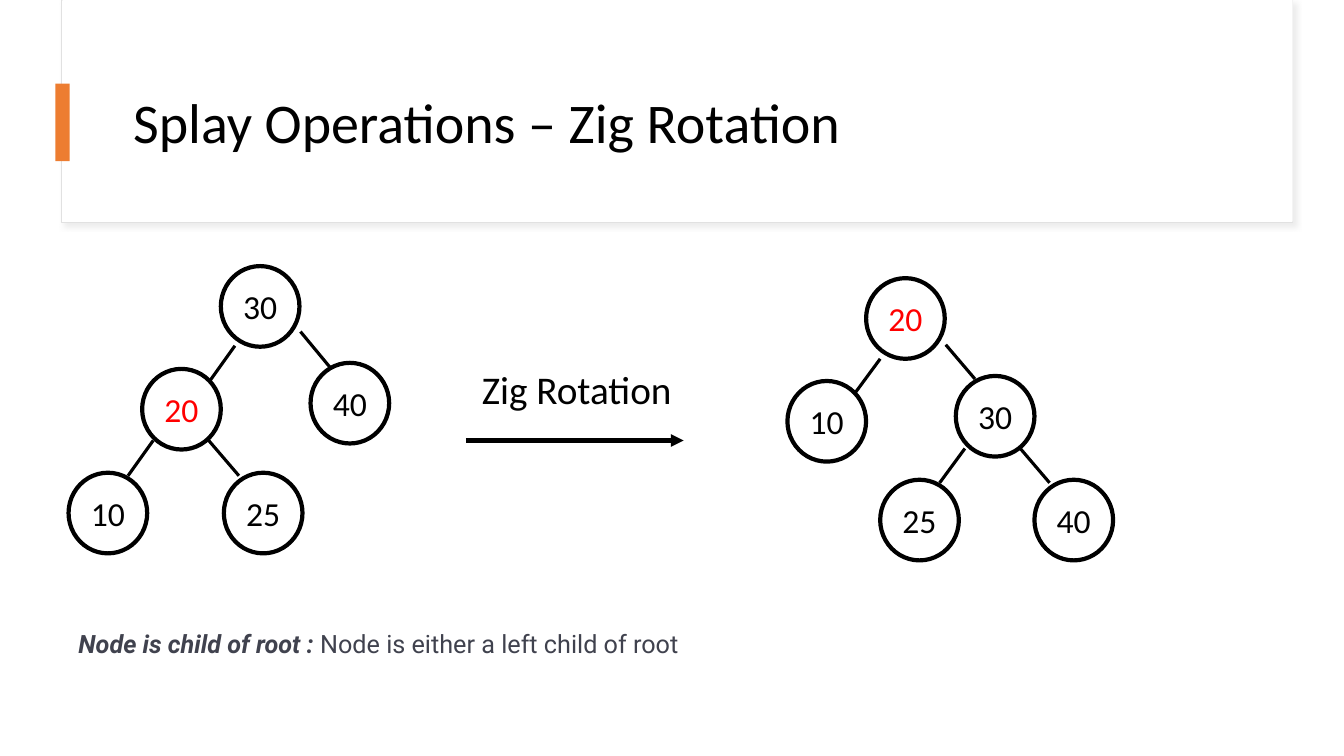
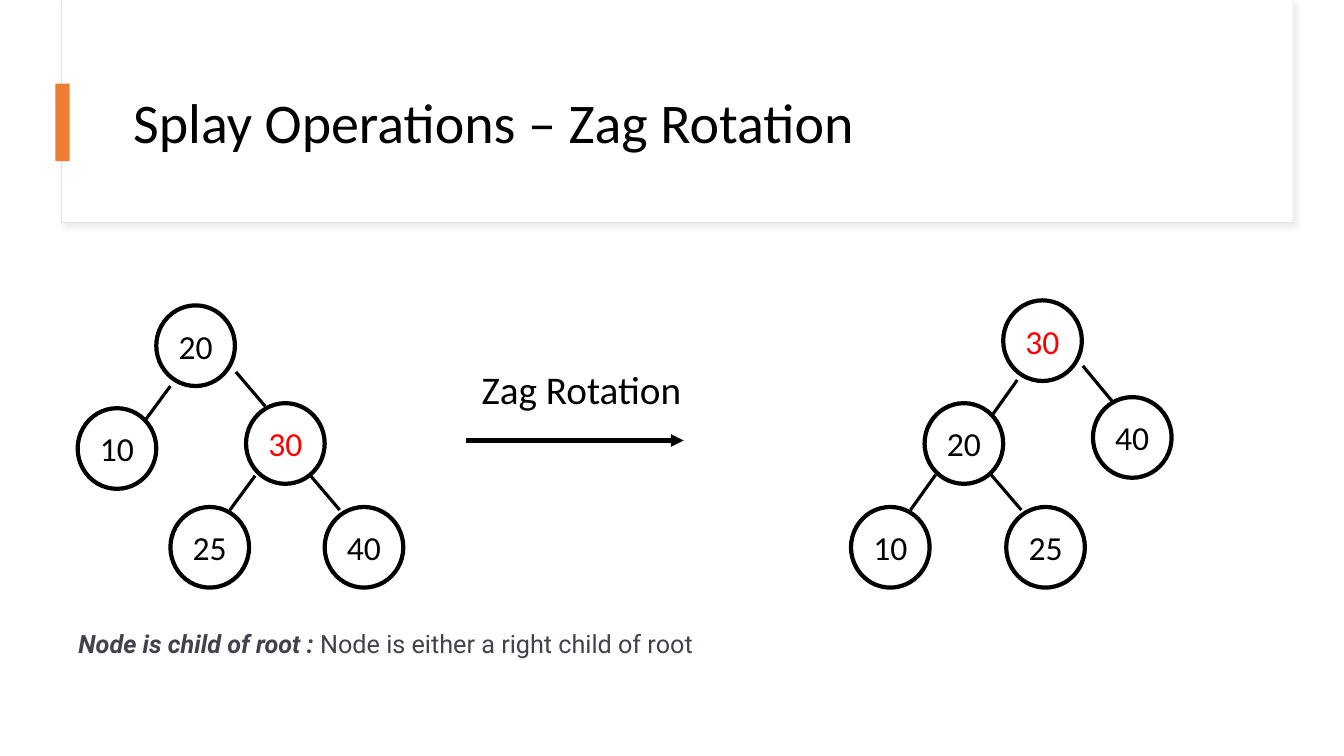
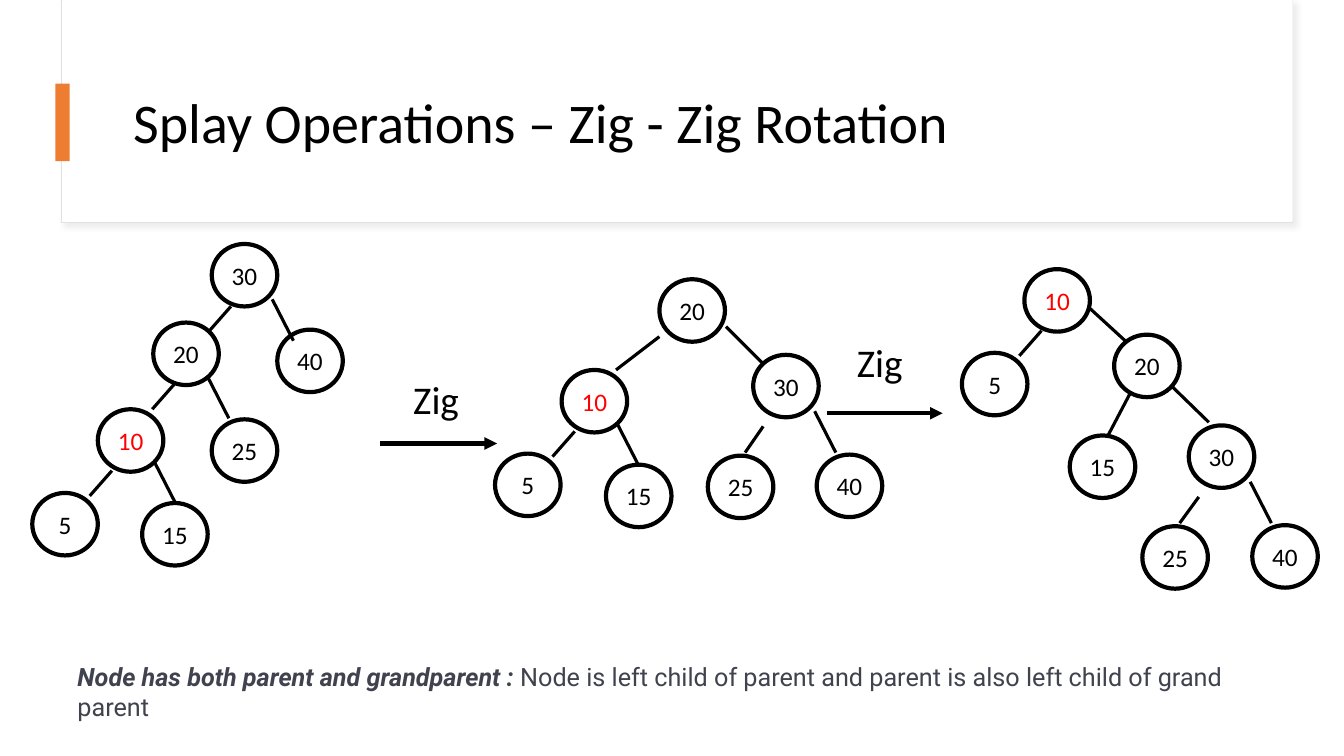
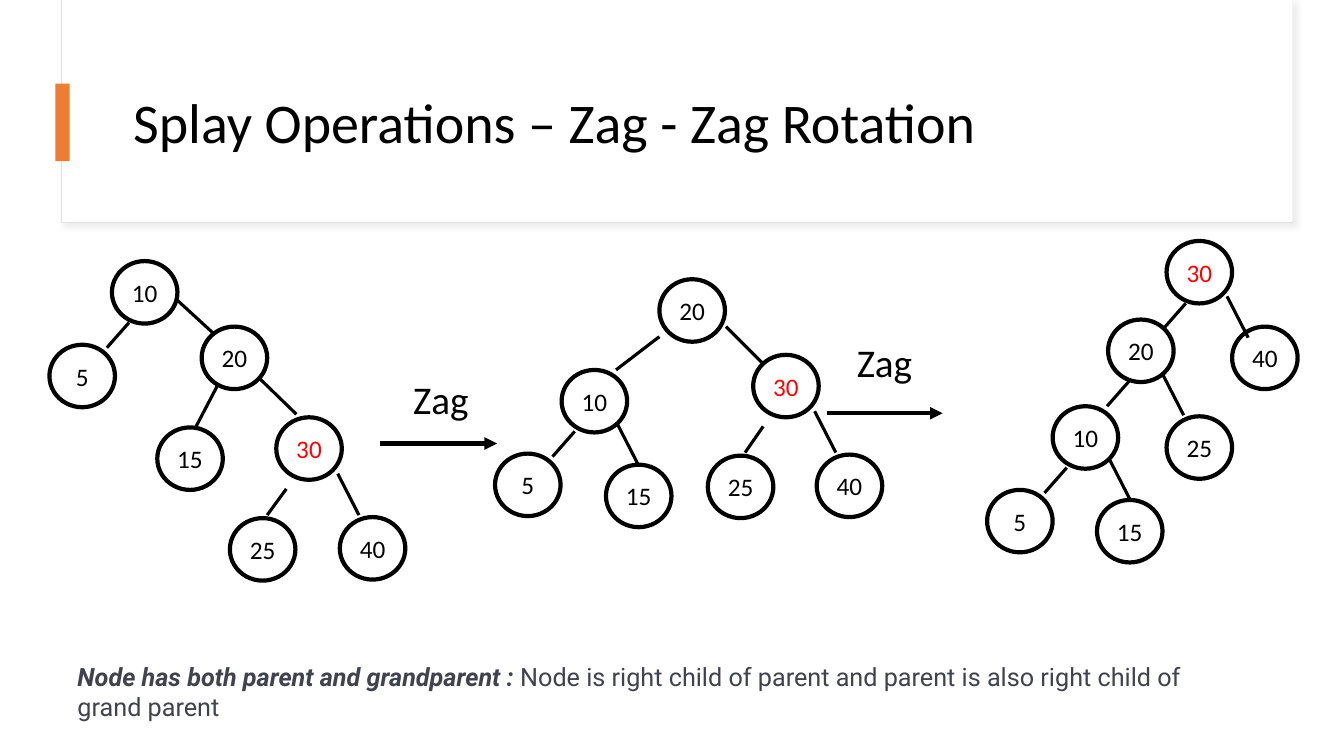
from dataclasses import dataclass

from lxml.etree import SubElement
from pptx import Presentation
from pptx.dml.color import RGBColor
from pptx.enum.shapes import MSO_CONNECTOR, MSO_SHAPE
from pptx.enum.text import MSO_ANCHOR, MSO_AUTO_SIZE, PP_ALIGN
from pptx.oxml.ns import qn
from pptx.util import Inches, Pt

BLACK, WHITE, RED = "000000", "FFFFFF", "FF0000"
ORANGE, FRAME_GRAY, SHADOW_GRAY, CAPTION_GRAY = "ED7D31", "E1E1E1", "D9D9D9", "40424E"
HEAD_FONT, CAPTION_FONT = "Calibri", "Roboto"
TITLE_ONLY = 5


@dataclass
class TreeShape:
    """Nodes are {key: (left, top)} and edges (x1, y1, x2, y2), from the root's corner."""
    node_size: tuple
    font_size: int
    nodes: dict
    edges: list


LARGE = dict(node_size=(0.78, 0.8), font_size=24)
SMALL = dict(node_size=(0.65, 0.62), font_size=18)

LARGE_LEFT = TreeShape(
    **LARGE,
    nodes={30: (0, 0), 20: (-0.78, 1.02), 40: (0.89, 0.96), 10: (-1.51, 2.05), 25: (0.03, 2.05)},
    edges=[(-0.11, 1.14, 0.14, 0.79), (-0.92, 2.08, -0.67, 1.73),
           (0.18, 2.08, -0.12, 1.73), (1.08, 1, 0.79, 0.65)])
LARGE_RIGHT = TreeShape(
    **LARGE,
    nodes={20: (0, 0), 10: (-0.78, 1.02), 30: (0.89, 0.97), 25: (0.14, 2), 40: (1.67, 2)},
    edges=[(-0.11, 1.14, 0.14, 0.8), (0.73, 2.03, 0.98, 1.69),
           (1.82, 2.03, 1.53, 1.69), (1.08, 1, 0.79, 0.66)])
SMALL_LEFT = TreeShape(
    **SMALL,
    nodes={30: (0, 0), 20: (-0.58, 0.78), 40: (0.65, 0.85), 10: (-1.13, 1.64),
           25: (0, 1.74), 5: (-1.78, 2.47), 15: (-0.69, 2.57)},
    edges=[(-0.03, 0.87, 0.19, 0.62), (-0.59, 1.64, -0.37, 1.39), (-1.21, 2.5, -0.99, 2.25),
           (-0.36, 2.57, -0.57, 2.16), (0.17, 1.73, -0.04, 1.32), (0.81, 0.96, 0.6, 0.55)])
SMALL_BALANCED = TreeShape(
    **SMALL,
    nodes={20: (0, 0), 10: (-0.97, 0.9), 30: (0.93, 0.75), 5: (-1.63, 1.73),
           15: (-0.53, 1.84), 25: (0.48, 1.75), 40: (1.56, 1.74)},
    edges=[(-0.43, 0.9, 0, 0.57), (1.03, 0.84, 0.66, 0.47), (-1.06, 1.76, -0.84, 1.51),
           (-0.21, 1.84, -0.42, 1.43), (0.85, 1.72, 1.03, 1.46), (1.75, 1.72, 1.54, 1.31)])
SMALL_RIGHT = TreeShape(
    **SMALL,
    nodes={10: (0, 0), 5: (-0.62, 0.83), 20: (0.89, 0.65), 15: (0.45, 1.65),
           30: (1.63, 1.55), 25: (1.17, 2.55), 40: (2.26, 2.54)},
    edges=[(-0.05, 0.86, 0.17, 0.61), (1.01, 0.72, 0.65, 0.39), (0.83, 1.65, 1.05, 1.23),
           (1.83, 1.52, 1.46, 1.16), (1.54, 2.52, 1.73, 2.26), (2.45, 2.52, 2.24, 2.11)])


def rgb(value):
    return RGBColor.from_string(value)


def style_run(run, size, color, font=HEAD_FONT, emphasis=False):
    run.font.name, run.font.size = font, Pt(size)
    run.font.color.rgb = rgb(color)
    run.font.bold = run.font.italic = emphasis


def add_block(page, kind, box, fill, line=None, line_width=0):
    block = page.shapes.add_shape(kind, *map(Inches, box))
    block.fill.solid()
    block.fill.fore_color.rgb = rgb(fill)
    if line:
        block.line.color.rgb = rgb(line)
        block.line.width = Pt(line_width)
    else:
        block.line.fill.background()
    block.shadow.inherit = False
    return block


def add_line(page, ends, width, arrow=False):
    line = page.shapes.add_connector(MSO_CONNECTOR.STRAIGHT, *map(Inches, ends))
    line.line.color.rgb = rgb(BLACK)
    line.line.width = Pt(width)
    properties = line.element.spPr
    if arrow:
        SubElement(properties.find(qn("a:ln")), qn("a:tailEnd"), type="triangle")
    SubElement(properties, qn("a:effectLst"))


def add_text(page, box, wrap):
    frame = page.shapes.add_textbox(*map(Inches, box)).text_frame
    frame.word_wrap = wrap
    frame.auto_size = MSO_AUTO_SIZE.SHAPE_TO_FIT_TEXT
    return frame.paragraphs[0]


def add_soft_shadow(shape):
    effects = shape.element.spPr.find(qn("a:effectLst"))
    shadow = SubElement(effects, qn("a:outerShdw"), blurRad=str(Pt(4)), dist=str(Pt(3)),
                        dir=str(45 * 60000), algn="tl", rotWithShape="0")
    color = SubElement(shadow, qn("a:srgbClr"), val=SHADOW_GRAY)
    SubElement(color, qn("a:alpha"), val="50000")


def add_header(page, text):
    title = page.shapes.title
    frame = add_block(page, MSO_SHAPE.RECTANGLE, (0.61, 0, 12.21, 2.21), WHITE, FRAME_GRAY, 0.75)
    add_soft_shadow(frame)
    panel = add_block(page, MSO_SHAPE.RECTANGLE, (0.62, 0, 12.2, 2.2), WHITE)
    for backing in (frame, panel):
        title.element.addprevious(backing.element)
    add_block(page, MSO_SHAPE.RECTANGLE, (0.55, 0.83, 0.14, 0.77), ORANGE)

    title.left, title.top, title.width, title.height = map(Inches, (1.22, 0.6, 11.12, 1.29))
    title.text_frame.text = text
    title.text_frame.auto_size = MSO_AUTO_SIZE.NONE
    title.text_frame.vertical_anchor = MSO_ANCHOR.MIDDLE
    para = title.text_frame.paragraphs[0]
    para.alignment, para.line_spacing = PP_ALIGN.LEFT, 0.9
    style_run(para.runs[0], 40, BLACK)


def add_tree(page, tree, left, top, splayed):
    """Draw a tree with its root's corner at (left, top) and the splayed key in red."""
    for key, (dx, dy) in tree.nodes.items():
        node = add_block(page, MSO_SHAPE.OVAL, (left + dx, top + dy, *tree.node_size),
                         WHITE, BLACK, 3)
        frame = node.text_frame
        frame.margin_left = frame.margin_right = 0
        frame.vertical_anchor = MSO_ANCHOR.MIDDLE
        frame.text = str(key)
        para = frame.paragraphs[0]
        para.alignment = PP_ALIGN.CENTER
        style_run(para.runs[0], tree.font_size, RED if key == splayed else BLACK)
    for x1, y1, x2, y2 in tree.edges:
        add_line(page, (left + x1, top + y1, left + x2, top + y2), 2.25)


def add_step(page, text, left, top, length, label_box):
    """Draw an arrow from (left, top); label_box is relative to that point."""
    add_line(page, (left, top, left + length, top), 3, arrow=True)
    dx, dy, width, height = label_box
    para = add_text(page, (left + dx, top + dy, width, height), wrap=False)
    para.text = text
    style_run(para.runs[0], 28, BLACK)


def add_caption(page, box, lead, rest):
    para = add_text(page, box, wrap=True)
    for text, emphasis in ((lead + " : ", True), (rest, False)):
        run = para.add_run()
        run.text = text
        style_run(run, 18, CAPTION_GRAY, CAPTION_FONT, emphasis)


def start_page(deck, name):
    page = deck.slides.add_slide(deck.slide_layouts[TITLE_ONLY])
    add_header(page, f"Splay Operations – {name} Rotation")
    return page


def add_single_page(deck, name, side, splayed, trees, label_width):
    page = start_page(deck, name)
    for tree in trees:
        add_tree(page, *tree, splayed)
    add_step(page, f"{name} Rotation", 4.62, 4.37, 2.16, (0.06, -0.79, label_width, 0.57))
    add_caption(page, (0.68, 6.18, 6.67, 0.4), "Node is child of root",
                f"Node is either a {side} child of root")


def add_double_page(deck, name, side, splayed, trees, label_width):
    page = start_page(deck, f"{name} - {name}")
    for tree in trees:
        add_tree(page, *tree, splayed)
    add_step(page, name, 3.77, 4.4, 1.16, (0.23, -0.73, label_width, 0.57))
    add_step(page, name, 8.2, 4.1, 1.15, (0.2, -0.79, label_width, 0.57))
    add_caption(page, (0.67, 6.51, 11.67, 0.71), "Node has both parent and grandparent",
                f"Node is {side} child of parent and parent is also {side} child of grand parent")


def main():
    deck = Presentation()
    deck.slide_width, deck.slide_height = Inches(13.33), Inches(7.5)
    balanced = (SMALL_BALANCED, 6.54, 2.77)
    add_single_page(deck, "Zig", "left", 20,
                    [(LARGE_LEFT, 2.19, 2.64), (LARGE_RIGHT, 8.59, 2.76)], 2.11)
    add_single_page(deck, "Zag", "right", 30,
                    [(LARGE_RIGHT, 1.55, 3.03), (LARGE_LEFT, 9.95, 2.98)], 2.2)
    add_double_page(deck, "Zig", "left", 10,
                    [(SMALL_LEFT, 2.1, 2.42), balanced, (SMALL_RIGHT, 10.16, 2.67)], 0.66)
    add_double_page(deck, "Zag", "right", 30,
                    [(SMALL_RIGHT, 1.11, 2.59), balanced, (SMALL_LEFT, 11.57, 2.39)], 0.76)
    deck.save("out.pptx")


if __name__ == "__main__":
    main()
